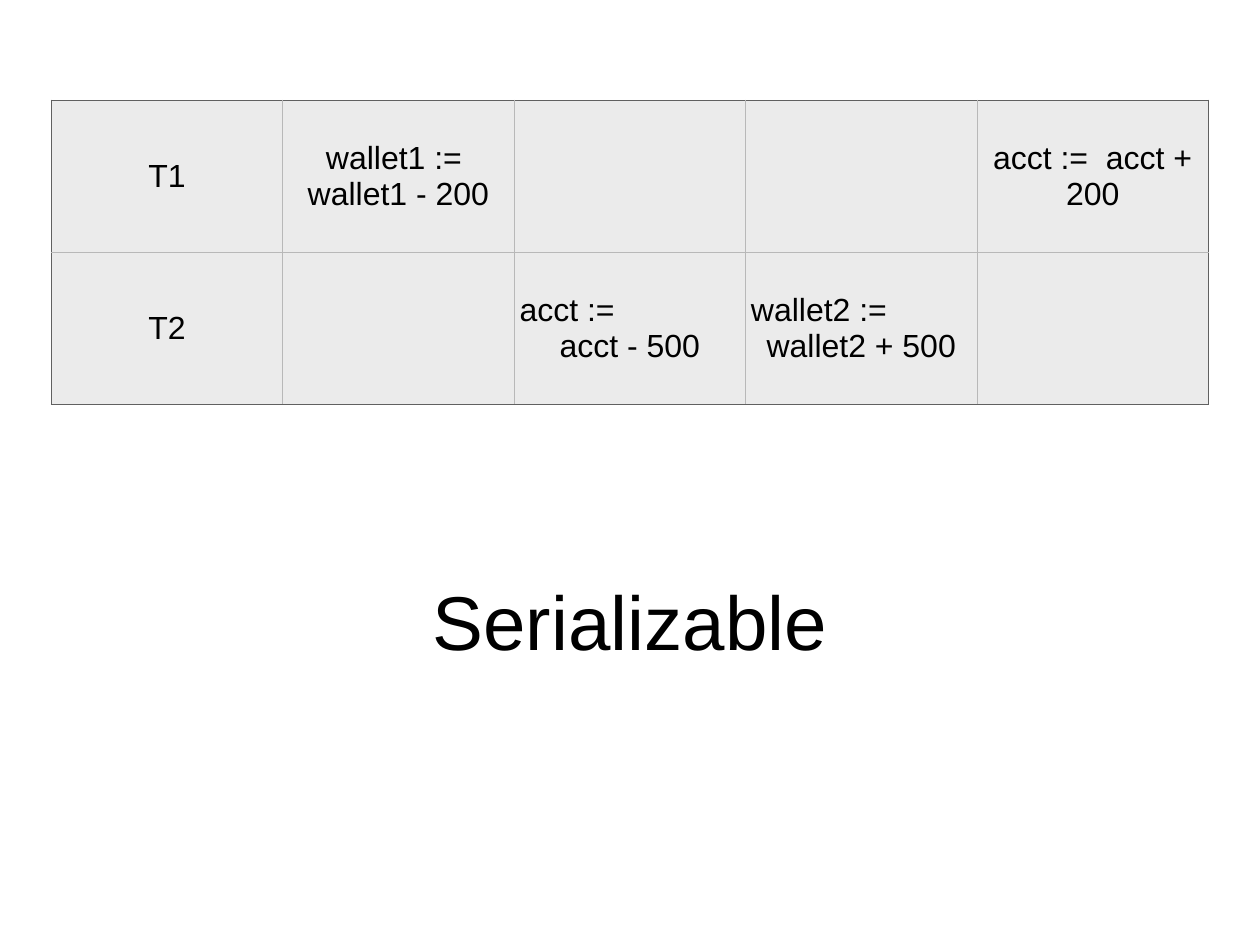
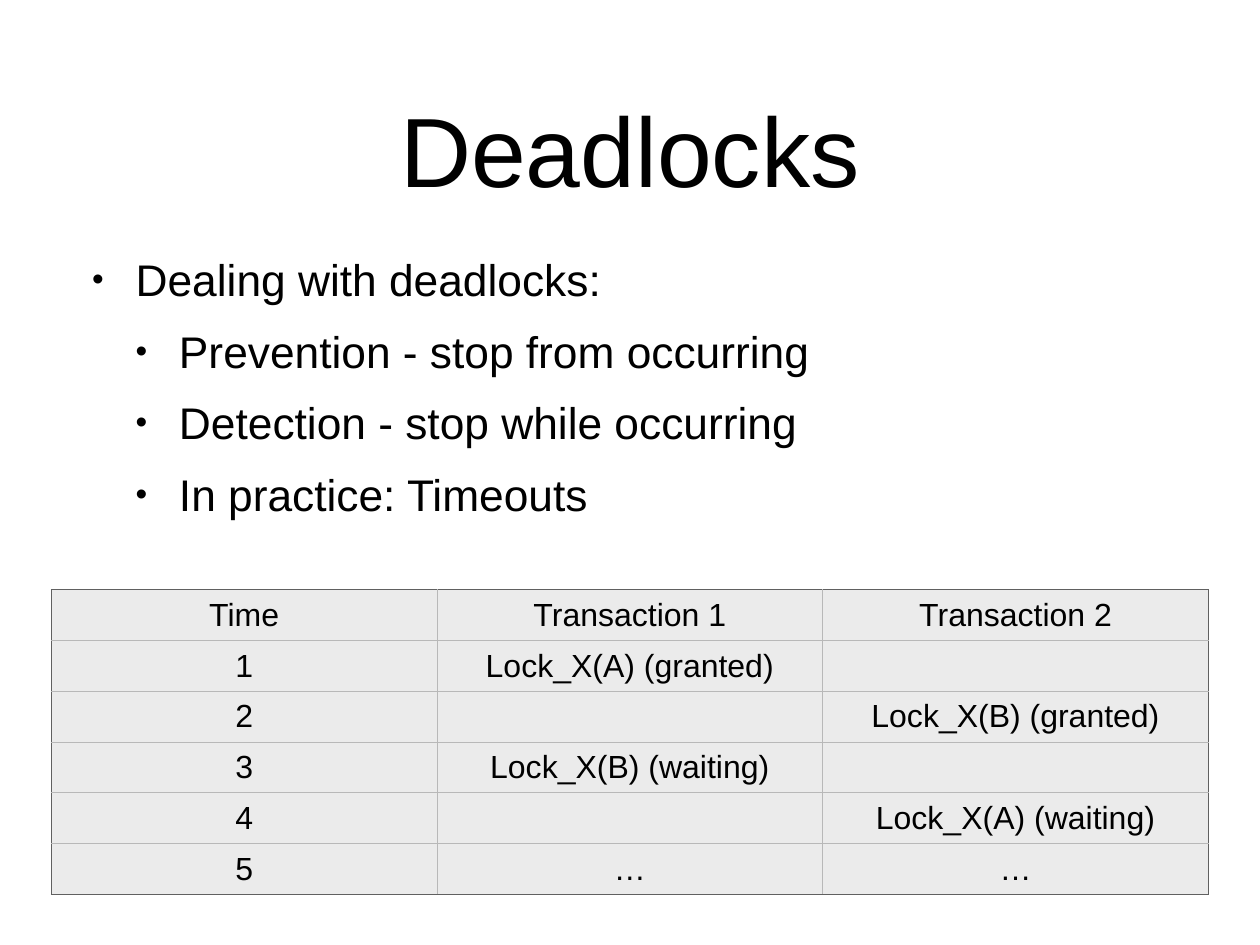
from lxml import etree
from pptx import Presentation
from pptx.dml.color import RGBColor
from pptx.enum.text import MSO_ANCHOR, MSO_AUTO_SIZE, PP_ALIGN
from pptx.oxml.ns import qn
from pptx.util import Inches, Pt

LEFT, CENTER = PP_ALIGN.LEFT, PP_ALIGN.CENTER
TOP, MIDDLE = MSO_ANCHOR.TOP, MSO_ANCHOR.MIDDLE
NO_FIT = MSO_AUTO_SIZE.NONE
BODY_LAYOUT, BLANK_LAYOUT = 1, 6


def color(value):
    return RGBColor.from_string(value)


def write(p, text, size, font="Arial", fill="000000", align=None, before=0):
    p.alignment = align
    p.space_before = Pt(before)
    r = p.add_run()
    r.text = text
    r.font.size = Pt(size)
    r.font.name = font
    r.font.color.rgb = color(fill)


def add_bullet(p, level, indent=0.49, size=75):
    p.level = level
    pPr = p._p.get_or_add_pPr()
    pPr.set("marL", str(Inches(indent * (level + 1))))
    pPr.set("indent", str(-Inches(indent)))
    etree.SubElement(pPr, qn("a:buSzPct"), val=str(size * 1000))
    etree.SubElement(pPr, qn("a:buChar"), char="•")


def set_border(cell, side, fill):
    """Draw a 1 pt line on side L, R, T or B; call before filling the cell."""
    tcPr = cell._tc.get_or_add_tcPr()
    ln = etree.SubElement(tcPr, qn("a:ln" + side), w=str(Pt(1)))
    solid = etree.SubElement(ln, qn("a:solidFill"))
    etree.SubElement(solid, qn("a:srgbClr"), val=fill)


class Deck:
    CELL, INNER, OUTER = "EBEBEB", "B8B8B8", "606060"
    TITLE_SIZE, CAPTION_SIZE, LIST_SIZE, CELL_SIZE = 80, 62, 36, 26
    PAD = Inches(0.06)

    def __init__(self):
        self.prs = Presentation()
        self.prs.slide_width = Inches(14.22)
        self.prs.slide_height = Inches(10.67)
        self.s = None

    def new_slide(self, layout):
        self.s = self.prs.slides.add_slide(self.prs.slide_layouts[layout])

    def place(self, sp, x, y, w, h, anchor, pad=0):
        """Position a text shape and return its formatted text frame."""
        sp.left, sp.top, sp.width, sp.height = map(Inches, (x, y, w, h))
        tf = sp.text_frame
        tf.margin_left = tf.margin_right = tf.margin_top = tf.margin_bottom = pad
        tf.vertical_anchor = anchor
        tf.auto_size = NO_FIT
        tf.word_wrap = True
        return tf

    def title(self, text):
        tf = self.place(self.s.shapes.title, 1.04, 0.49, 12.14, 2.36, MIDDLE)
        write(tf.paragraphs[0], text, self.TITLE_SIZE, align=CENTER)

    def bullets(self, items):
        sp = self.s.placeholders[1]
        tf = self.place(sp, 1.04, 2.85, 12.14, 6.88, TOP)
        for i, (level, text) in enumerate(items):
            p = tf.add_paragraph() if i else tf.paragraphs[0]
            add_bullet(p, level)
            write(p, text, self.LIST_SIZE, before=15 if i else 0)

    def caption(self, text, x, y, w, h):
        sp = self.s.shapes.add_textbox(0, 0, 0, 0)
        tf = self.place(sp, x, y, w, h, MIDDLE, self.PAD)
        write(tf.paragraphs[0], text, self.CAPTION_SIZE, align=CENTER)

    def table(self, rows, y, x=0.58, w=13.06, h=3.44):
        n_rows, n_cols = len(rows), len(rows[0])
        table = self.s.shapes.add_table(
            n_rows, n_cols, Inches(x), Inches(y), Inches(w), Inches(h)).table
        table.first_row = table.horz_banding = False
        for i, row in enumerate(rows):
            for j, text in enumerate(row):
                edges = {"L": j == 0, "R": j == n_cols - 1,
                         "T": i == 0, "B": i == n_rows - 1}
                self.cell(table.cell(i, j), text, edges)

    def cell(self, cell, text, edges):
        """Format a cell; the first of two text lines is set to the left."""
        for side, is_outer in edges.items():
            set_border(cell, side, self.OUTER if is_outer else self.INNER)
        cell.fill.solid()
        cell.fill.fore_color.rgb = color(self.CELL)
        cell.vertical_anchor = MIDDLE
        cell.margin_left = cell.margin_right = self.PAD
        cell.margin_top = cell.margin_bottom = self.PAD
        if not text:
            return
        tf = cell.text_frame
        *first, last = text.split("\n")
        for line in first:
            write(tf.paragraphs[0], line, self.CELL_SIZE, align=LEFT)
        p = tf.add_paragraph() if first else tf.paragraphs[0]
        write(p, last, self.CELL_SIZE, align=CENTER)


def main():
    deck = Deck()

    deck.new_slide(BLANK_LAYOUT)
    deck.table([
        ["T1", "wallet1 :=  wallet1 - 200", "", "", "acct :=  acct + 200"],
        ["T2", "", "acct :=\nacct - 500", "wallet2 :=\nwallet2 + 500", ""],
    ], y=1.13)
    deck.caption("Serializable", 4.61, 6.43, 5, 1.14)

    deck.new_slide(BODY_LAYOUT)
    deck.title("Deadlocks")
    deck.bullets([
        (0, "Dealing with deadlocks:"),
        (1, "Prevention - stop from occurring"),
        (1, "Detection - stop while occurring"),
        (1, "In practice: Timeouts"),
    ])
    deck.table([
        ["Time", "Transaction 1", "Transaction 2"],
        ["1", "Lock_X(A) (granted)", ""],
        ["2", "", "Lock_X(B) (granted)"],
        ["3", "Lock_X(B) (waiting)", ""],
        ["4", "", "Lock_X(A) (waiting)"],
        ["5", "…", "…"],
    ], y=6.66)

    deck.prs.save("out.pptx")


if __name__ == "__main__":
    main()
